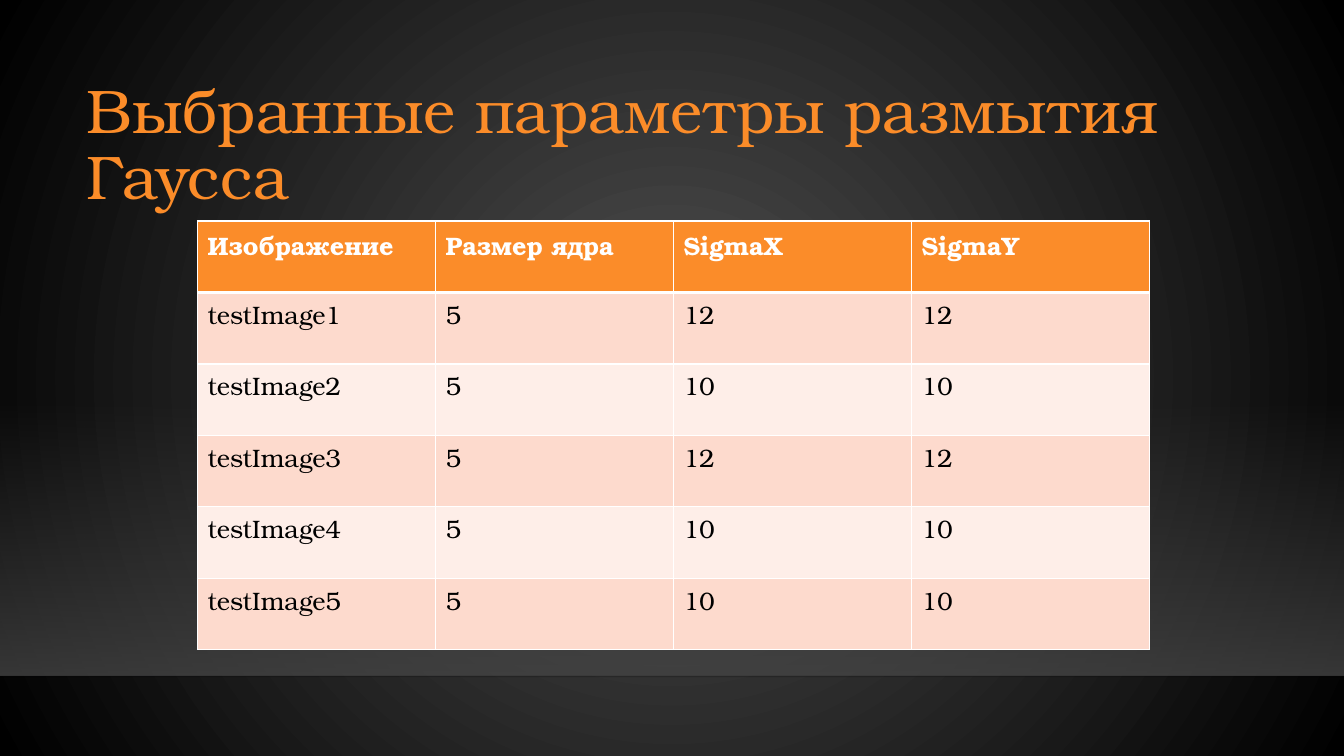
from dataclasses import dataclass

from lxml import etree
from pptx import Presentation
from pptx.dml.color import RGBColor
from pptx.enum.shapes import MSO_CONNECTOR, MSO_SHAPE
from pptx.enum.text import MSO_ANCHOR, MSO_AUTO_SIZE, PP_ALIGN
from pptx.oxml import parse_xml
from pptx.oxml.ns import nsdecls, qn
from pptx.slide import Slide
from pptx.table import _Cell as Cell
from pptx.text.text import _Paragraph as Paragraph
from pptx.util import Pt

FONT = "TeX Gyre Bonum"
ORANGE, WHITE, BLACK = "FB8C29", "FFFFFF", "000000"
WIDTH, HEIGHT = 960, 540
BAND_TOP, BAND_HEIGHT = 285.12, 197.28
FLOOR_Y = 483.12
TABLE_LEFT, TABLE_TOP = 141.12, 157.9
COLUMN_WIDTH, ROW_HEIGHT = 170, 51.05

ROWS = [
    ("Изображение", "Размер ядра", "SigmaX", "SigmaY"),
    ("testImage1", "5", "12", "12"),
    ("testImage2", "5", "10", "10"),
    ("testImage3", "5", "12", "12"),
    ("testImage4", "5", "10", "10"),
    ("testImage5", "5", "10", "10"),
]


@dataclass(frozen=True)
class RowStyle:
    fill: str
    color: str = BLACK
    bold: bool = False
    top: float = 1
    bottom: float = 1


HEADER = RowStyle(ORANGE, WHITE, bold=True, bottom=3)
FIRST = RowStyle("FDDACD", top=3)
ODD = RowStyle("FDDACD")
EVEN = RowStyle("FEEEE8")
STYLES = [HEADER, FIRST, EVEN, ODD, EVEN, ODD]


@dataclass(frozen=True)
class Stop:
    position: int
    color: str
    opacity: int = 100


def rgb(color: str) -> RGBColor:
    return RGBColor.from_string(color)


def format_text(paragraph: Paragraph, size: float, color: str, bold: bool = False) -> None:
    for run in paragraph.runs:
        run.font.name = FONT
        run.font.size = Pt(size)
        run.font.bold = bold
        run.font.color.rgb = rgb(color)


def replace_with_gradient(element: etree.ElementBase, stops: list[Stop], direction: str) -> None:
    """Put a gradient in place of the first solid fill inside the element."""
    stop_list = "".join(
        f'<a:gs pos="{stop.position * 1000}"><a:srgbClr val="{stop.color}">'
        f'<a:alpha val="{stop.opacity * 1000}"/></a:srgbClr></a:gs>'
        for stop in stops
    )
    gradient = parse_xml(
        f'<a:gradFill {nsdecls("a")} rotWithShape="1">'
        f"<a:gsLst>{stop_list}</a:gsLst>{direction}</a:gradFill>"
    )
    solid = element.find(".//" + qn("a:solidFill"))
    solid.getparent().replace(solid, gradient)


def draw_background(slide: Slide) -> None:
    slide.background.fill.solid()
    replace_with_gradient(
        slide.element,
        [Stop(0, "505050"), Stop(100, BLACK)],
        '<a:path path="circle"><a:fillToRect l="50000" t="50000" r="50000" b="50000"/></a:path>',
    )


def draw_floor(slide: Slide) -> None:
    band = slide.shapes.add_shape(
        MSO_SHAPE.RECTANGLE, Pt(0), Pt(BAND_TOP), Pt(WIDTH), Pt(BAND_HEIGHT)
    )
    band.shadow.inherit = False
    band.line.fill.background()
    band.fill.solid()
    replace_with_gradient(
        band.element.spPr,
        [Stop(0, "454545", 0), Stop(100, "454545", 80)],
        '<a:lin ang="5400000" scaled="0"/>',
    )

    edge = slide.shapes.add_connector(
        MSO_CONNECTOR.STRAIGHT, Pt(0), Pt(FLOOR_Y), Pt(WIDTH), Pt(FLOOR_Y)
    )
    edge.line.width = Pt(1)
    edge.line.color.rgb = rgb("000001")
    edge_color = edge.element.spPr.find(".//" + qn("a:srgbClr"))
    etree.SubElement(edge_color, qn("a:alpha"), val="20000")
    etree.SubElement(edge.element.spPr, qn("a:effectLst"))


def draw_title(slide: Slide) -> None:
    title = slide.shapes.title
    title.left, title.top, title.width, title.height = Pt(54.72), Pt(63.36), Pt(839.52), Pt(82.8)
    frame = title.text_frame
    frame.text = "Выбранные параметры размытия Гаусса"
    frame.word_wrap = True
    frame.auto_size = MSO_AUTO_SIZE.NONE
    frame.vertical_anchor = MSO_ANCHOR.MIDDLE
    paragraph = frame.paragraphs[0]
    paragraph.alignment = PP_ALIGN.LEFT
    paragraph.line_spacing = 0.9
    format_text(paragraph, 44, ORANGE)


def format_cell(cell: Cell, style: RowStyle) -> None:
    properties = cell._tc.get_or_add_tcPr()
    for side, width in (("L", 1), ("R", 1), ("T", style.top), ("B", style.bottom)):
        properties.append(parse_xml(
            f'<a:ln{side} {nsdecls("a")} w="{Pt(width)}"><a:solidFill>'
            f'<a:srgbClr val="{WHITE}"/></a:solidFill></a:ln{side}>'
        ))
    cell.fill.solid()
    cell.fill.fore_color.rgb = rgb(style.fill)
    format_text(cell.text_frame.paragraphs[0], 18, style.color, style.bold)


def draw_table(slide: Slide) -> None:
    row_count, column_count = len(ROWS), len(ROWS[0])
    table = slide.shapes.add_table(
        row_count, column_count, Pt(TABLE_LEFT), Pt(TABLE_TOP),
        Pt(column_count * COLUMN_WIDTH), Pt(row_count * ROW_HEIGHT),
    ).table
    for column in table.columns:
        column.width = Pt(COLUMN_WIDTH)
    for row, values, style in zip(table.rows, ROWS, STYLES):
        row.height = Pt(ROW_HEIGHT)
        for cell, value in zip(row.cells, values):
            cell.text_frame.text = value
            format_cell(cell, style)


def main() -> None:
    presentation = Presentation()
    presentation.slide_width, presentation.slide_height = Pt(WIDTH), Pt(HEIGHT)
    slide = presentation.slides.add_slide(presentation.slide_layouts[5])
    draw_background(slide)
    draw_floor(slide)
    draw_title(slide)
    draw_table(slide)
    presentation.save("out.pptx")


if __name__ == "__main__":
    main()
